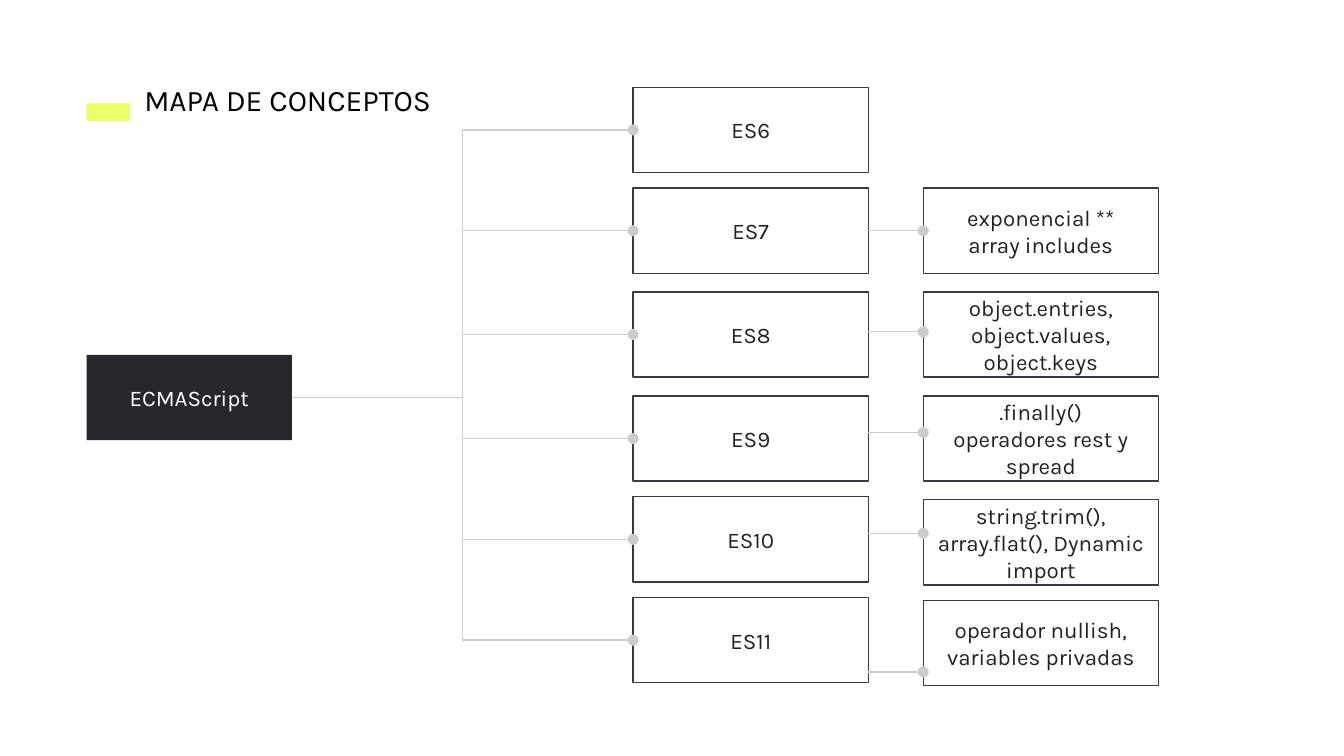
from lxml.etree import SubElement
from pptx import Presentation
from pptx.dml.color import RGBColor
from pptx.enum.shapes import MSO_CONNECTOR, MSO_SHAPE
from pptx.enum.text import MSO_ANCHOR, MSO_AUTO_SIZE, PP_ALIGN
from pptx.oxml.ns import qn
from pptx.util import Pt

FONT = "Karla"
LIME = RGBColor(0xEA, 0xFF, 0x6A)
DARK = RGBColor(0x27, 0x28, 0x2D)
BORDER = RGBColor(0x39, 0x3B, 0x43)
TEXT = RGBColor(0x22, 0x22, 0x22)
GREY = RGBColor(0xCC, 0xCC, 0xCC)
WHITE = RGBColor(0xFF, 0xFF, 0xFF)
BLACK = RGBColor(0x00, 0x00, 0x00)

LEFT = 46.4
VERSION_X, DETAIL_X = 339.2, 494.6
BOX_W, BOX_H = 126, 45.7
RIGHT, LEFT_SIDE = 3, 1

# version, top of its box
VERSIONS = [
    ("ES6", 46.8),
    ("ES7", 100.8),
    ("ES8", 156.4),
    ("ES9", 212.1),
    ("ES10", 266.1),
    ("ES11", 320.1),
]
# version: top of the detail box, height of the link (None: joined at mid-side), lines
DETAILS = {
    "ES7": (100.8, None, ["exponencial **", "array includes"]),
    "ES8": (156.4, 177.8, ["object.entries, object.values, object.keys"]),
    "ES9": (212.1, 231.8, [".finally()", "operadores rest y spread"]),
    "ES10": (267.8, 285.8, ["string.trim(), array.flat(), Dynamic import"]),
    "ES11": (321.7, 360, ["operador nullish, variables privadas"]),
}


def write(tf, lines, size, color, align):
    tf.word_wrap = True
    tf.margin_left = tf.margin_right = tf.margin_top = tf.margin_bottom = Pt(7.2)
    for i, line in enumerate(lines):
        p = tf.add_paragraph() if i else tf.paragraphs[0]
        p.text = line
        p.alignment = align
        p.font.name = FONT
        p.font.size = Pt(size)
        p.font.color.rgb = color


def add_rect(s, x, y, w, h, fill=None):
    """Rectangle that is either filled or outlined."""
    sp = s.shapes.add_shape(MSO_SHAPE.RECTANGLE, Pt(x), Pt(y), Pt(w), Pt(h))
    sp.shadow.inherit = False
    if fill is None:
        sp.fill.background()
        sp.line.color.rgb = BORDER
        sp.line.width = Pt(0.75)
    else:
        sp.fill.solid()
        sp.fill.fore_color.rgb = fill
        sp.line.fill.background()
    return sp


def add_box(s, x, y, w, lines, color=TEXT, fill=None):
    sp = add_rect(s, x, y, w, BOX_H, fill)
    sp.text_frame.vertical_anchor = MSO_ANCHOR.MIDDLE
    write(sp.text_frame, lines, 12, color, PP_ALIGN.CENTER)
    return sp


def add_title(s, text):
    box = s.shapes.add_textbox(Pt(70.2), Pt(36.8), Pt(193.7), Pt(33.8))
    write(box.text_frame, [text], 16, BLACK, PP_ALIGN.LEFT)
    box.text_frame.auto_size = MSO_AUTO_SIZE.SHAPE_TO_FIT_TEXT


def add_link(s, start, end, y=None):
    """Elbow line with a dot at its end; joined to both boxes unless a height is given."""
    level = Pt(y or 0)
    link = s.shapes.add_connector(
        MSO_CONNECTOR.ELBOW, start.left + start.width, level, end.left, level)
    if y is None:
        link.begin_connect(start, RIGHT)
        link.end_connect(end, LEFT_SIDE)
    link.line.color.rgb = GREY
    link.line.width = Pt(0.75)
    SubElement(link.line._get_or_add_ln(), qn("a:tailEnd"), type="oval")
    SubElement(link._element.spPr, qn("a:effectLst"))


def main():
    prs = Presentation()
    prs.slide_width, prs.slide_height = Pt(720), Pt(405)
    s = prs.slides.add_slide(prs.slide_layouts[6])

    add_rect(s, LEFT, 55.4, 23.2, 9.4, LIME)
    add_title(s, "MAPA DE CONCEPTOS")

    root = add_box(s, LEFT, 190.2, 110, ["ECMAScript"], WHITE, DARK)
    for name, top in VERSIONS:
        version = add_box(s, VERSION_X, top, BOX_W, [name])
        add_link(s, root, version)
        if name in DETAILS:
            detail_top, link_y, lines = DETAILS[name]
            detail = add_box(s, DETAIL_X, detail_top, BOX_W, lines)
            add_link(s, version, detail, link_y)

    prs.save("out.pptx")


if __name__ == "__main__":
    main()
